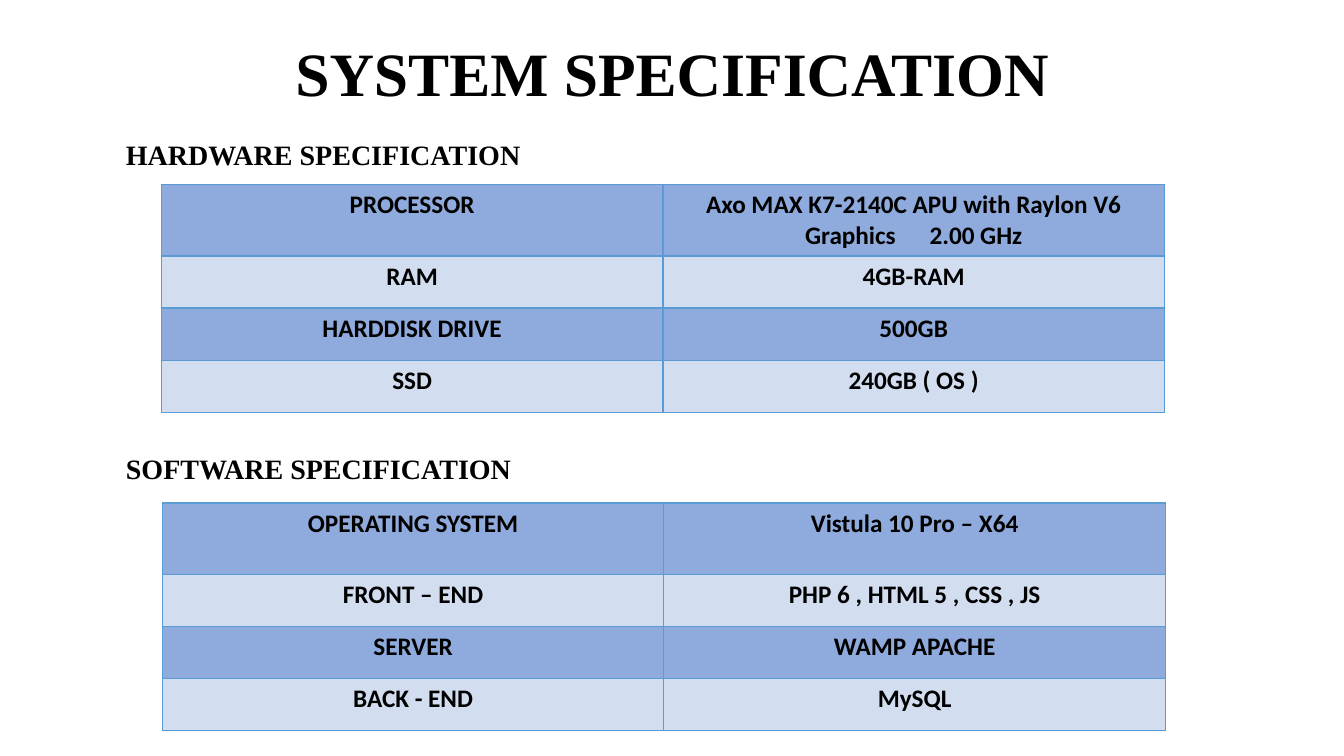
from pptx import Presentation
from pptx.dml.color import RGBColor
from pptx.enum.text import MSO_ANCHOR, PP_ALIGN
from pptx.util import Inches, Pt
from lxml.etree import SubElement
from pptx.oxml.ns import qn

SERIF = "Times New Roman"
BLUE, PALE, EDGE, BLACK = "8FAADC", "D2DEEF", "5B9BD5", "000000"
HARD = [
    ("PROCESSOR", ("Axo MAX K7-2140C APU with Raylon V6 Graphics", "2.00 GHz")),
    ("RAM", "4GB-RAM"),
    ("HARDDISK DRIVE", "500GB"),
    ("SSD", "240GB ( OS )"),
]
SOFT = [
    ("OPERATING SYSTEM", "Vistula 10 Pro – X64"),
    ("FRONT – END", "PHP 6 , HTML 5 , CSS , JS"),
    ("SERVER", "WAMP APACHE"),
    ("BACK - END", "MySQL"),
]


def color(code):
    """Turn a hex string into a colour."""
    return RGBColor.from_string(code)


def add_run(para, text, size, face):
    """Add a bold black run to a paragraph."""
    run = para.add_run()
    run.text = text
    run.font.size = Pt(size)
    run.font.name = face
    run.font.bold = True
    run.font.color.rgb = color(BLACK)
    return run


def add_edges(cell):
    """Draw the four borders of a cell, ahead of its fill."""
    props = cell._tc.get_or_add_tcPr()
    for side in ("lnL", "lnR", "lnT", "lnB"):
        line = SubElement(props, qn("a:" + side), w=str(Pt(1)))
        paint = SubElement(line, qn("a:solidFill"))
        SubElement(paint, qn("a:srgbClr"), val=EDGE)


def fill_cell(cell, text, shade):
    """Style a cell and write its text, parts set apart by a wide space."""
    add_edges(cell)
    cell.fill.solid()
    cell.fill.fore_color.rgb = color(shade)
    para = cell.text_frame.paragraphs[0]
    para.alignment = PP_ALIGN.CENTER
    parts = (text,) if isinstance(text, str) else text
    for spot, part in enumerate(parts):
        if spot:
            gap = add_run(para, " ", 18, "Calibri")
            gap.font._element.set("spc", "2000")
        add_run(para, part, 18, "Calibri")


def add_title(slide, left, top, width, height):
    """Place the slide title."""
    title = slide.shapes.title
    title.left, title.top = Inches(left), Inches(top)
    title.width, title.height = Inches(width), Inches(height)
    frame = title.text_frame
    frame.vertical_anchor = MSO_ANCHOR.MIDDLE
    para = frame.paragraphs[0]
    para.alignment = PP_ALIGN.CENTER
    para.line_spacing = 0.9
    add_run(para, "SYSTEM SPECIFICATION", 44, SERIF)


def add_head(slide, text, left, top, width, height):
    """Place a section heading."""
    box = slide.shapes.add_textbox(
        Inches(left), Inches(top), Inches(width), Inches(height))
    box.text_frame.word_wrap = True
    para = box.text_frame.paragraphs[0]
    para.line_spacing = 0.9
    add_run(para, text, 20, SERIF)


def add_grid(slide, rows, left, top, width, height):
    """Place a two-column table with a taller first row."""
    first = 0.71
    rest = (height - first) / (len(rows) - 1)
    table = slide.shapes.add_table(
        len(rows), 2, Inches(left), Inches(top),
        Inches(width), Inches(height)).table
    for col in table.columns:
        col.width = Inches(width / 2)
    for y, row in enumerate(rows):
        table.rows[y].height = Inches(rest if y else first)
        for x, text in enumerate(row):
            fill_cell(table.cell(y, x), text, PALE if y % 2 else BLUE)


def main():
    """Build and save the slide."""
    deck = Presentation()
    deck.slide_width, deck.slide_height = Inches(13.33), Inches(7.5)
    slide = deck.slides.add_slide(deck.slide_layouts[5])
    add_title(slide, 0.92, 0.35, 11.5, 0.82)
    add_head(slide, "HARDWARE SPECIFICATION", 1.15, 1.35, 11.72, 0.4)
    add_grid(slide, HARD, 1.6, 1.83, 9.95, 2.26)
    add_head(slide, "SOFTWARE SPECIFICATION", 1.15, 4.47, 11.72, 0.4)
    add_grid(slide, SOFT, 1.61, 4.99, 9.95, 2.26)
    deck.save("out.pptx")


if __name__ == "__main__":
    main()
